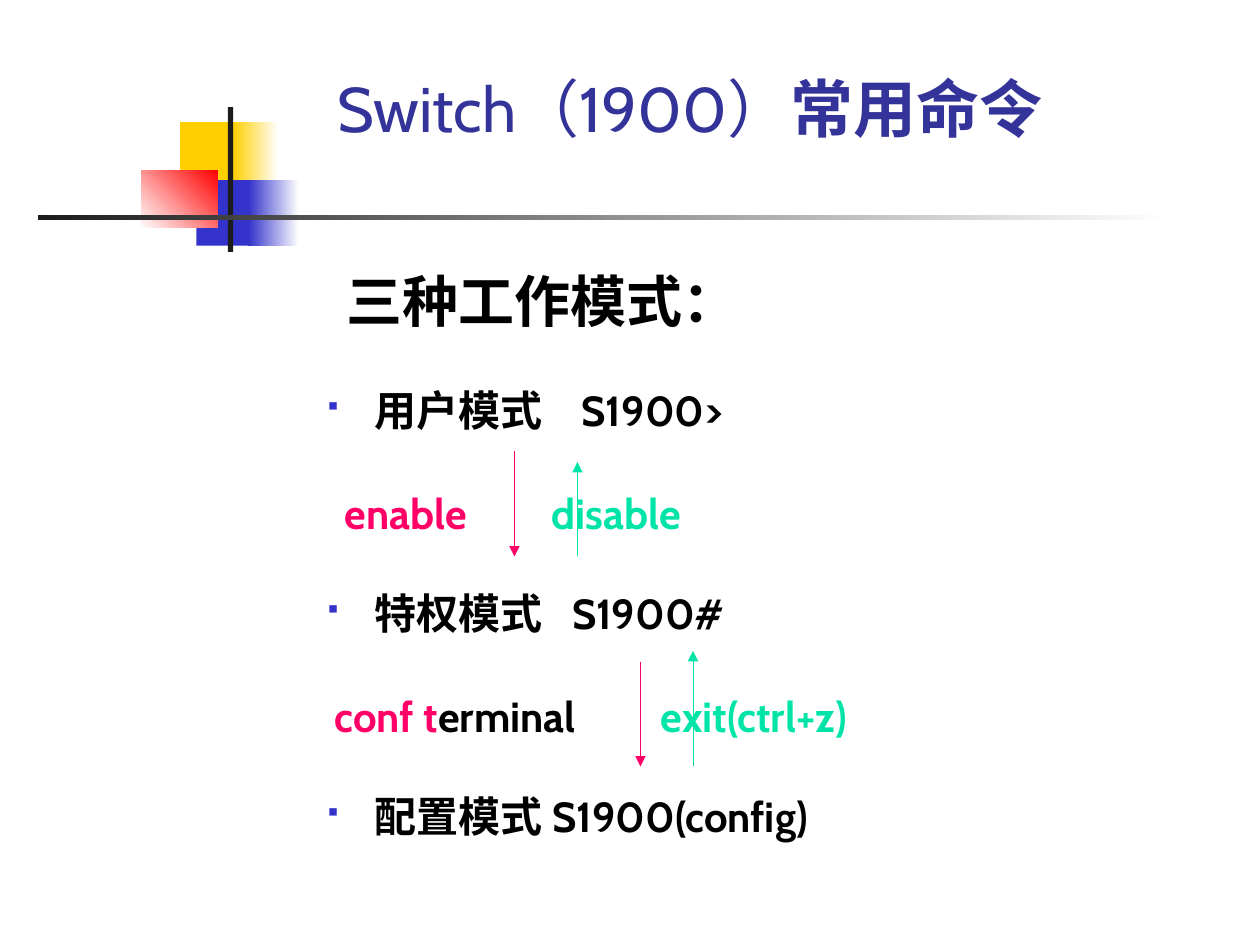
from lxml import etree
from pptx import Presentation
from pptx.dml.color import RGBColor
from pptx.enum.shapes import MSO_CONNECTOR, MSO_SHAPE
from pptx.oxml.ns import qn
from pptx.util import Inches, Pt

RECTANGLE = MSO_SHAPE.RECTANGLE
STRAIGHT = MSO_CONNECTOR.STRAIGHT
FONT = "Cabin"
COLORS = {
    "yellow": "FFCF01", "blue": "3333CC", "red": "FF0000", "white": "FFFFFF",
    "ink": "1C1C1C", "title": "333399", "black": "000000",
    "pink": "FF0066", "green": "00E4A8",
}

presentation = Presentation()
presentation.slide_width = Inches(10)
presentation.slide_height = Inches(7.5)
slide = presentation.slides.add_slide(presentation.slide_layouts[6])

# Grid of 120 columns by 90 rows
CELL = presentation.slide_width // 120


def cells(*counts):
    return [round(count * CELL) for count in counts]


def add_run(paragraph, text, size, color, bold=True):
    run = paragraph.add_run()
    run.text = text
    run.font.name = FONT
    run.font.size = Pt(size)
    run.font.bold = bold
    run.font.color.rgb = RGBColor.from_string(COLORS[color])


# Corner ornament: box, gradient start, gradient end, angle
ornament = [
    ((17.16, 11.64, 5.76, 6.24), "yellow", None, 0),
    ((22.2, 11.64, 4.32, 6.24), "yellow", "white", 0),
    ((18.72, 17.16, 5.52, 6.24), "blue", None, 0),
    ((23.64, 17.16, 4.8, 6.24), "blue", "white", 0),
    ((13.44, 16.2, 7.32, 5.52), "white", "red", 45),
    ((21.72, 10.2, 0.48, 13.8), "ink", None, 0),
    ((3.6, 20.52, 108, 0.48), "ink", "white", 0),
]
for box, start, end, angle in ornament:
    shape = slide.shapes.add_shape(RECTANGLE, *cells(*box))
    shape.shadow.inherit = False
    shape.line.fill.background()
    if end:
        shape.fill.gradient()
        shape.fill.gradient_angle = angle
        for stop, color in zip(shape.fill.gradient_stops, (start, end)):
            stop.color.rgb = RGBColor.from_string(COLORS[color])
    else:
        shape.fill.solid()
        shape.fill.fore_color.rgb = RGBColor.from_string(COLORS[start])

# Title
title_frame = slide.shapes.add_textbox(*cells(30.96, 6, 83.28, 11.88)).text_frame
title_frame.word_wrap = True
add_run(title_frame.paragraphs[0], "Switch（1900）", 36, "title", bold=False)
add_run(title_frame.paragraphs[0], "常用命令", 36, "title")

# Heading and bulleted modes: text, size, left margin, tab stop, space before
BULLET_MARGIN = 4.5
lines = [
    ("三种工作模式：", 32, 1.8, None, 0),
    ("用户模式\tS1900>", 24, BULLET_MARGIN, 24.2, 35),
    ("特权模式\tS1900#", 24, BULLET_MARGIN, 23.3, 93),
    ("配置模式 S1900(config)", 24, BULLET_MARGIN, None, 93),
]
body_frame = slide.shapes.add_textbox(*cells(30, 26, 65, 59)).text_frame
body_frame.word_wrap = True
for number, (text, size, margin, tab_stop, space) in enumerate(lines):
    paragraph = body_frame.add_paragraph() if number else body_frame.paragraphs[0]
    paragraph.line_spacing = 0.8
    properties = paragraph._p.get_or_add_pPr()
    properties.set("marL", str(cells(margin)[0]))
    if number:
        paragraph.space_before = Pt(space)
        properties.set("indent", str(cells(-margin)[0]))
        bullet_color = etree.SubElement(properties, qn("a:buClr"))
        etree.SubElement(bullet_color, qn("a:srgbClr"), val=COLORS["blue"])
        etree.SubElement(properties, qn("a:buSzPct"), val="60000")
        etree.SubElement(properties, qn("a:buFont"), typeface="Wingdings")
        etree.SubElement(properties, qn("a:buChar"), char="§")
    if tab_stop:
        tab_list = etree.SubElement(properties, qn("a:tabLst"))
        etree.SubElement(tab_list, qn("a:tab"), pos=str(cells(tab_stop)[0]), algn="l")
    add_run(paragraph, text, size, "black")

# Commands that switch between modes: left, top, width, runs
commands = [
    (31.65, 45.8, 15, [("enable", "pink")]),
    (51.35, 45.8, 18, [("disable", "green")]),
    (30.7, 65.2, 28, [("conf t", "pink"), ("erminal", "black")]),
    (61.75, 65.2, 24, [("exit(ctrl+z)", "green")]),
]
for left, top, width, runs in commands:
    command_frame = slide.shapes.add_textbox(*cells(left, top, width, 6)).text_frame
    command_frame.word_wrap = True
    for text, color in runs:
        add_run(command_frame.paragraphs[0], text, 24, color)

# Arrows between modes
arrows = [
    ((49, 43, 49, 53), "pink", 0.75),
    ((61, 63, 61, 73), "pink", 0.75),
    ((66, 73, 66, 62), "green", 0.25),
    ((55, 53, 55, 44), "green", 0.25),
]
for ends, color, width in arrows:
    connector = slide.shapes.add_connector(STRAIGHT, *cells(*ends))
    connector.line.color.rgb = RGBColor.from_string(COLORS[color])
    connector.line.width = Pt(width)
    etree.SubElement(connector.line._get_or_add_ln(), qn("a:tailEnd"), type="triangle")
    etree.SubElement(connector._element.spPr, qn("a:effectLst"))

presentation.save("out.pptx")
